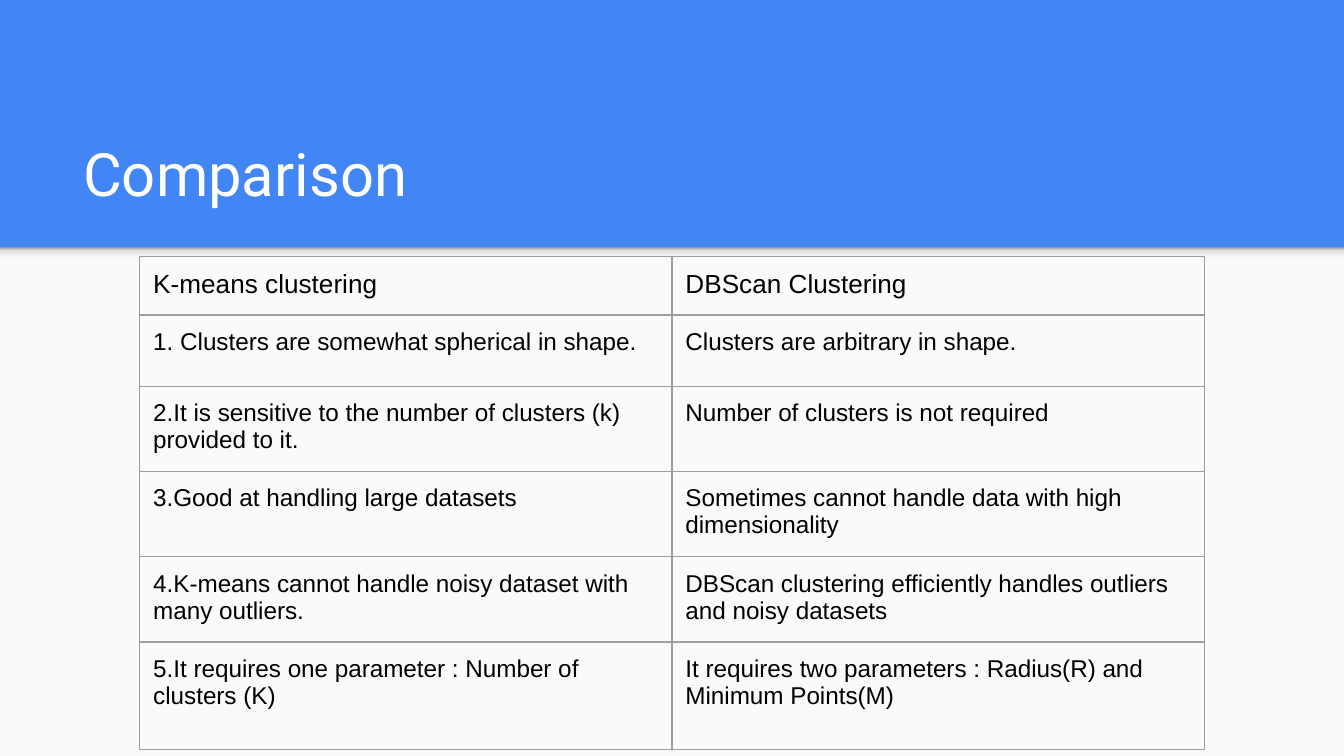
"""Build a slide comparing K-means and DBScan clustering in a table."""
from lxml import etree
from pptx import Presentation
from pptx.dml.color import RGBColor
from pptx.enum import shapes, text
from pptx.oxml.ns import qn
from pptx.util import Inches, Pt

COLORS = {"blue": "4285F4", "paper": "FAFAFA", "white": "FFFFFF",
          "black": "000000", "border": "9E9E9E"}
SHADOW_STOPS = [(0, "F9F9F9"), (36, "F9F9F9"), (80, "DEDEDE"), (100, "999999")]
TITLE = "Comparison"
ROWS = [
    ("K-means clustering", "DBScan Clustering"),
    ("1. Clusters are somewhat spherical in shape.",
     "Clusters are arbitrary in shape."),
    ("2.It is sensitive to the number of clusters (k) provided to it.",
     "Number of clusters is not required"),
    ("3.Good at handling large datasets",
     "Sometimes cannot handle data with high dimensionality"),
    ("4.K-means cannot handle noisy dataset with many outliers.",
     "DBScan clustering efficiently handles outliers and noisy datasets"),
    ("5.It requires one parameter : Number of clusters (K)",
     "It requires two parameters : Radius(R) and Minimum Points(M)"),
]
ROW_HEIGHTS = [0.42, 0.53] + [0.6] * 3 + [0.8]
COL_WIDTH = 3.96
WIDTH, BAND_BOTTOM = 10, 1.84
HEIGHT = WIDTH * 9 / 16


def rgb(name):
    return RGBColor.from_string(COLORS[name])


def add_bar(s, top, height):
    sp = s.shapes.add_shape(shapes.MSO_SHAPE.RECTANGLE, 0, Inches(top),
                            Inches(WIDTH), Inches(height))
    sp.shadow.inherit = False
    sp.line.fill.background()
    return sp


def fill_gradient(sp, stops):
    sp.fill.gradient()
    sp.fill.gradient_angle = 90
    gs_list = sp._element.spPr.find(".//" + qn("a:gsLst"))
    gs_list.clear()
    for pos, color in stops:
        gs = etree.SubElement(gs_list, qn("a:gs"), pos=str(pos * 1000))
        etree.SubElement(gs, qn("a:srgbClr"), val=color)


def write(tf, words, size, font, color):
    tf.word_wrap = True
    r = tf.paragraphs[0].add_run()
    r.text = words
    r.font.size, r.font.name = Pt(size), font
    r.font.color.rgb = rgb(color)


def set_margins(box):
    box.margin_left = box.margin_right = Inches(0.1)
    box.margin_top = box.margin_bottom = Inches(0.1)


def add_borders(cell):
    tc_pr = cell._tc.get_or_add_tcPr()
    for side in ("lnL", "lnR", "lnT", "lnB"):
        ln = etree.SubElement(tc_pr, qn("a:" + side), w=str(Pt(0.75)))
        fill = etree.SubElement(ln, qn("a:solidFill"))
        etree.SubElement(fill, qn("a:srgbClr"), val=COLORS["border"])


def add_comparison(s):
    frame = s.shapes.add_table(len(ROWS), 2, Inches(1.04), Inches(1.91),
                               Inches(2 * COL_WIDTH), Inches(sum(ROW_HEIGHTS)))
    table = frame.table
    table.first_row = table.horz_banding = False
    for i, (row, height) in enumerate(zip(ROWS, ROW_HEIGHTS)):
        table.rows[i].height = Inches(height)
        for j, words in enumerate(row):
            cell = table.cell(i, j)
            set_margins(cell)
            add_borders(cell)
            cell.fill.background()
            write(cell.text_frame, words, 13 if i else 14, "Arial", "black")


def main():
    prs = Presentation()
    prs.slide_width, prs.slide_height = Inches(WIDTH), Inches(HEIGHT)
    s = prs.slides.add_slide(prs.slide_layouts[6])
    s.background.fill.solid()
    s.background.fill.fore_color.rgb = rgb("blue")

    paper = add_bar(s, BAND_BOTTOM, HEIGHT - BAND_BOTTOM)
    paper.fill.solid()
    paper.fill.fore_color.rgb = rgb("paper")
    fill_gradient(add_bar(s, BAND_BOTTOM, 0.12), SHADOW_STOPS)

    title = s.shapes.add_textbox(Inches(0.52), Inches(0.81), Inches(8.99), Inches(0.84))
    tf = title.text_frame
    set_margins(tf)
    tf.vertical_anchor = text.MSO_ANCHOR.BOTTOM
    write(tf, TITLE, 32, "Roboto", "white")

    add_comparison(s)
    prs.save("out.pptx")


if __name__ == "__main__":
    main()
